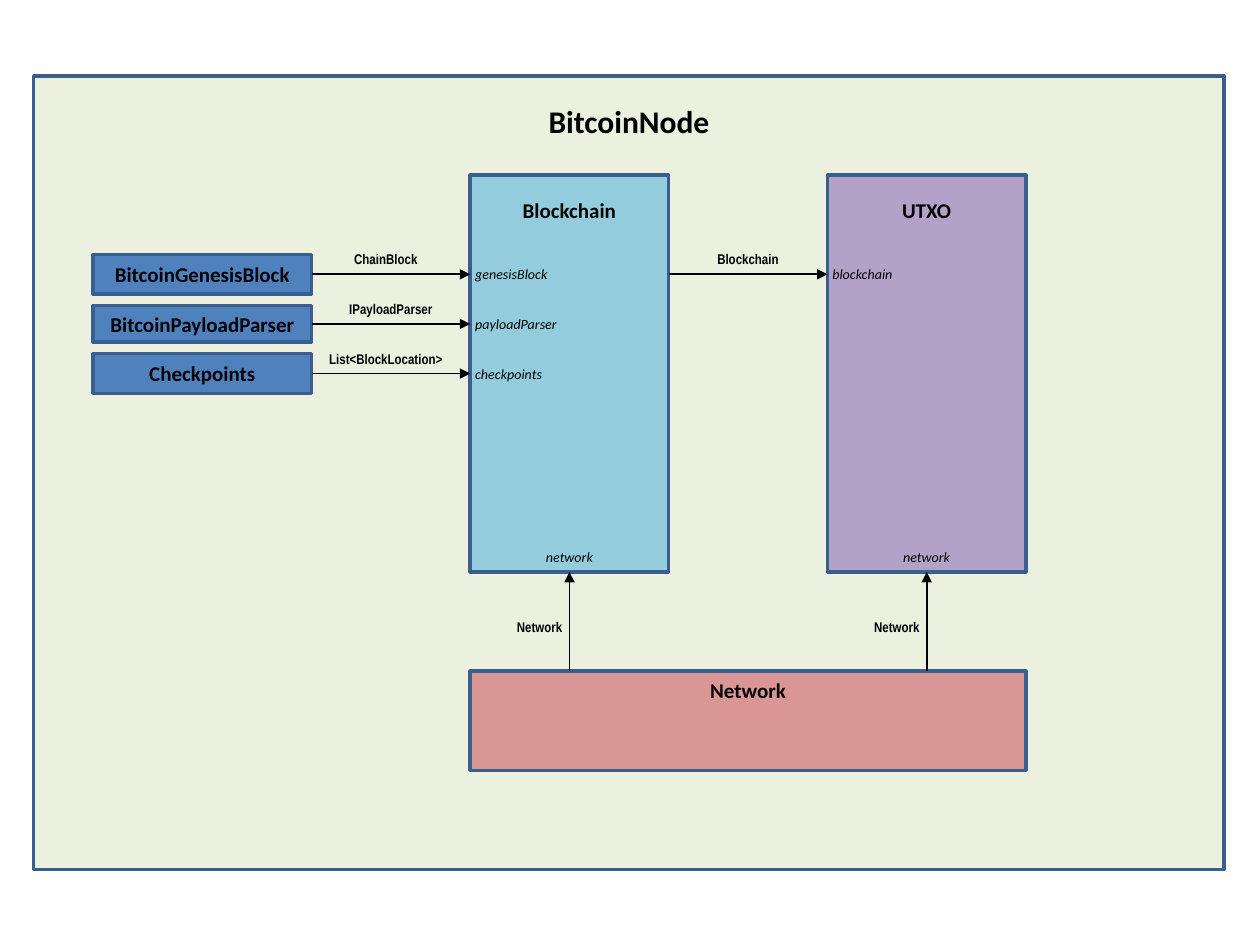
from dataclasses import dataclass

from lxml.etree import SubElement
from pptx import Presentation
from pptx.dml.color import RGBColor as RGB
from pptx.enum.shapes import MSO_CONNECTOR as CONN, MSO_SHAPE as SHAPE
from pptx.enum.text import MSO_ANCHOR as ANCHOR, MSO_AUTO_SIZE as AUTO, PP_ALIGN as ALIGN
from pptx.oxml.ns import qn
from pptx.util import Cm, Inches, Pt


@dataclass(frozen=True)
class Theme:
    panel: str = "EBF1DE"
    chain: str = "93CDDD"
    utxo: str = "B3A2C7"
    network: str = "D99694"
    block: str = "4F81BD"
    border: str = "3A5F8C"
    ink: str = "000000"
    border_width: float = 2
    arrow_width: float = 1


T = Theme()
TITLE = dict(name="Calibri", size=Pt(18), bold=True, italic=False)
HEADING = dict(TITLE, size=Pt(12))
PORT = dict(name="Calibri", size=Pt(8), bold=False, italic=True)
TYPE = dict(name="Arial Narrow", size=Pt(8), bold=True, italic=False)

# Grid of 1 cm cells whose origin is the panel's top left corner
LEFT, TOP = 0.68, 1.53
CHAIN_COL, UTXO_COL, BOX_W = 8.8, 16, 4
BOX_ROW, BOX_H = 2, 8
NET_ROW, NET_H = 12, 2
BLOCK_COL, BLOCK_W = 1.2, 4.4
LINK_ROW = 4
LABEL_W, LABEL_H = 2.8, 0.6


def point(col, row):
    return Cm(LEFT + col), Cm(TOP + row)


def set_text(sp, text, font, align=ALIGN.CENTER, anchor=ANCHOR.MIDDLE, inset=(0.1, 0.12)):
    """Write one formatted line into a shape; inset is (side, top and bottom) in cm."""
    tf = sp.text_frame
    side, end = map(Cm, inset)
    frame = dict(word_wrap=True, auto_size=AUTO.NONE, vertical_anchor=anchor,
                 margin_left=side, margin_right=side, margin_top=end, margin_bottom=end)
    for key, value in frame.items():
        setattr(tf, key, value)
    p = tf.paragraphs[0]
    p.alignment = align
    r = p.add_run()
    r.text = text
    for key, value in font.items():
        setattr(r.font, key, value)
    r.font.color.rgb = RGB.from_string(T.ink)


def add_box(s, col, row, w, h, fill, text=None, **layout):
    sp = s.shapes.add_shape(SHAPE.RECTANGLE, *point(col, row), Cm(w), Cm(h))
    sp.shadow.inherit = False
    sp.fill.solid()
    sp.fill.fore_color.rgb = RGB.from_string(fill)
    sp.line.color.rgb = RGB.from_string(T.border)
    sp.line.width = Pt(T.border_width)
    if text:
        set_text(sp, text, HEADING, **layout)
    return sp


def add_label(s, mid_col, mid_row, text, font, align=ALIGN.CENTER):
    x, y = point(mid_col - LABEL_W / 2, mid_row - LABEL_H / 2)
    sp = s.shapes.add_textbox(x, y, Cm(LABEL_W), Cm(LABEL_H))
    set_text(sp, text, font, align)


def add_arrow(s, start, end, source=None, target=None):
    """Draw an arrow; source and target are optional (shape, side) joints."""
    line = s.shapes.add_connector(CONN.STRAIGHT, *point(*start), *point(*end))
    line.line.color.rgb = RGB.from_string(T.ink)
    line.line.width = Pt(T.arrow_width)
    SubElement(line.line._get_or_add_ln(), qn("a:tailEnd"), type="triangle")
    SubElement(line._element.spPr, qn("a:effectLst"))
    if source:
        line.begin_connect(*source)
    if target:
        line.end_connect(*target)


def add_link(s, start_col, end_col, row, type_name, port, label_col, source=None):
    """Horizontal arrow with its type above it and the port name at its head."""
    add_arrow(s, (start_col, row), (end_col, row), source)
    add_label(s, end_col + LABEL_W / 2, row, port, PORT, ALIGN.LEFT)
    add_label(s, label_col, row - LABEL_H / 2, type_name, TYPE)


def add_title(s, text):
    title = s.shapes.title
    title.left, title.top = point(10, 0.4)
    title.width, title.height = Cm(4), Cm(1)
    set_text(title, text, TITLE)
    s.shapes._spTree.append(title._element)  # in front of the panel


def main():
    prs = Presentation()
    prs.slide_width, prs.slide_height = Inches(10), Inches(7.5)
    s = prs.slides.add_slide(prs.slide_layouts[5])

    # Node panel and title
    add_box(s, 0, 0, 24, 16, T.panel)
    add_title(s, "BitcoinNode")

    # Main components
    components = [
        add_box(s, col, BOX_ROW, BOX_W, BOX_H, fill, text,
                anchor=ANCHOR.TOP, inset=(0.1, 0.46))
        for col, fill, text in [(CHAIN_COL, T.chain, "Blockchain"),
                                (UTXO_COL, T.utxo, "UTXO")]
    ]
    add_box(s, CHAIN_COL, NET_ROW, UTXO_COL + BOX_W - CHAIN_COL, NET_H,
            T.network, "Network", anchor=ANCHOR.TOP, inset=(0.1, 0.12))

    # Inputs of the blockchain, one per grid row
    inputs = [
        ("BitcoinGenesisBlock", "ChainBlock", "genesisBlock", 0.8, 7.1),
        ("BitcoinPayloadParser", "IPayloadParser", "payloadParser", 0.74, 7.2),
        ("Checkpoints", "List<BlockLocation>", "checkpoints", 0.8, 7.1),
    ]
    for row, (name, type_name, port, h, label_col) in enumerate(inputs, LINK_ROW):
        block = add_box(s, BLOCK_COL, row - h / 2, BLOCK_W, h, T.block, name, inset=(0, 0))
        add_link(s, BLOCK_COL + BLOCK_W, CHAIN_COL, row, type_name, port,
                 label_col, (block, 3))

    # Blockchain feeds UTXO
    chain_right = CHAIN_COL + BOX_W
    add_link(s, chain_right, UTXO_COL, LINK_ROW, "Blockchain", "blockchain",
             (chain_right + UTXO_COL) / 2)

    # Network feeds both components
    bottom = BOX_ROW + BOX_H
    for col, component in zip((CHAIN_COL, UTXO_COL), components):
        mid = col + BOX_W / 2
        add_arrow(s, (mid, NET_ROW), (mid, bottom), target=(component, 2))
        add_label(s, mid, bottom - LABEL_H / 2, "network", PORT)
        add_label(s, mid - 0.6, (bottom + NET_ROW) / 2 + 0.1, "Network", TYPE)

    prs.save("out.pptx")


if __name__ == "__main__":
    main()
